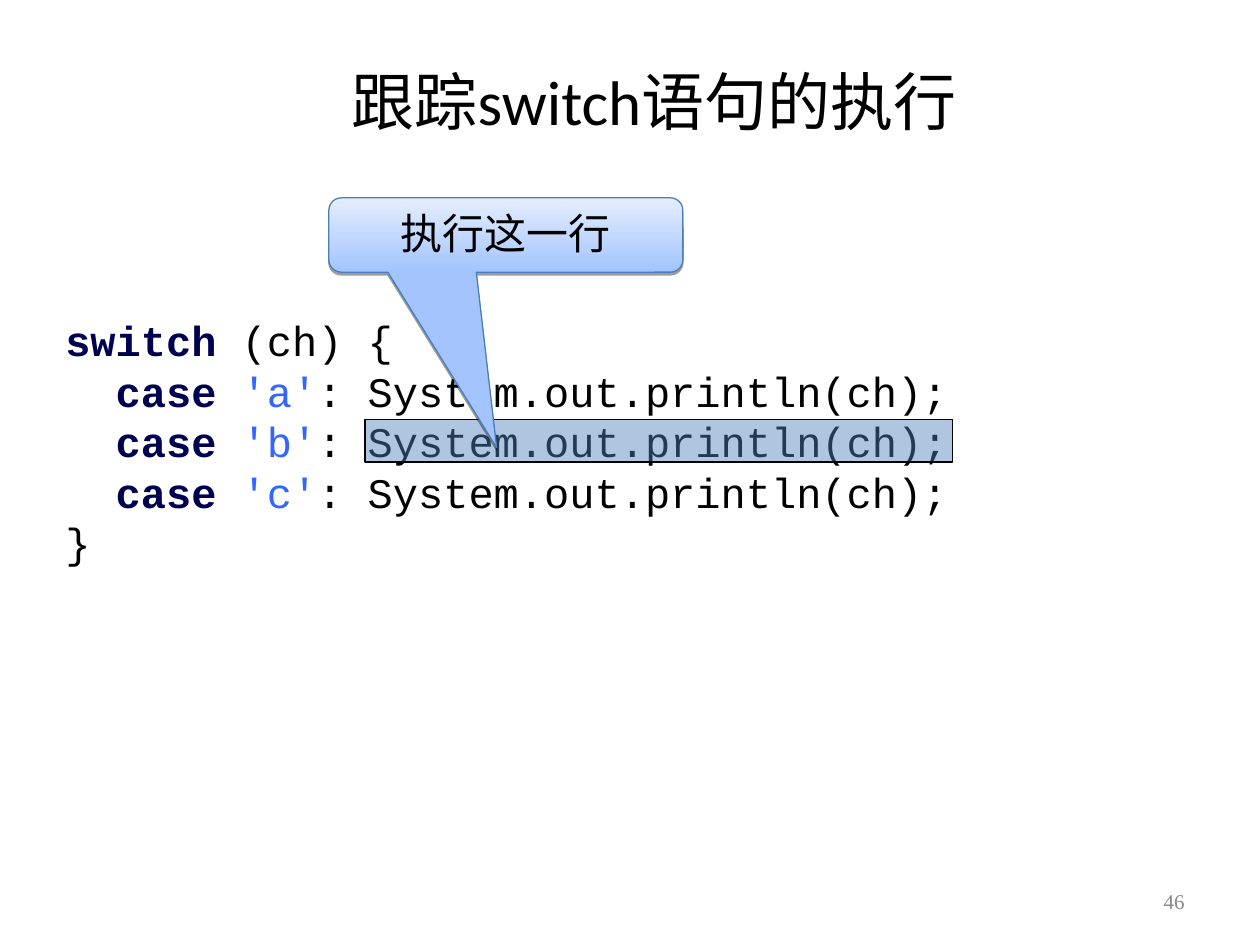
from lxml import etree
from pptx import Presentation
from pptx.dml.color import RGBColor
from pptx.enum.shapes import MSO_SHAPE
from pptx.enum.text import MSO_ANCHOR, PP_ALIGN
from pptx.oxml import parse_xml
from pptx.oxml.ns import nsdecls, qn
from pptx.util import Inches, Pt

COLORS = {
    "text": "000000", "keyword": "000050", "literal": "3366FF",
    "number": "898989", "highlight": "4F81BD", "callout_line": "4A7EBB",
    "callout_bottom": "A3C4FF", "callout_top": "E5EEFF",
}
TITLE = " 跟踪switch语句的执行"
CALLOUT = "执行这一行"
SLIDE_NUMBER = "46"
CASES = ["a", "b", "c"]
STATEMENT = ": System.out.println(ch);"
CODE = [
    (0, [("switch", "keyword"), (" (ch) {", "text")]),
    *[(0.4, [("case ", "keyword"), (f"'{case}'", "literal"), (STATEMENT, "text")])
      for case in CASES],
    (0, [("}", "text")]),
]


def rgb(name):
    return RGBColor.from_string(COLORS[name])


def place(box):
    return [Inches(length) for length in box]


def add_text(paragraph, text, *, size, font, color="text", bold=False, align=None):
    run = paragraph.add_run()
    run.text = text
    run.font.size = Pt(size)
    run.font.name = font
    run.font.bold = bold
    run.font.color.rgb = rgb(color)
    if align is not None:
        paragraph.alignment = align


def add_block(slide, box, kind, line, width):
    block = slide.shapes.add_shape(kind, *place(box))
    block.shadow.inherit = False
    block.line.color.rgb = rgb(line)
    block.line.width = Pt(width)
    return block


def add_title(slide):
    title = slide.shapes.title
    title.left, title.top, title.width, title.height = place((0.76, 0.52, 8.75, 0.55))
    title.text_frame.vertical_anchor = MSO_ANCHOR.MIDDLE
    add_text(title.text_frame.paragraphs[0], TITLE, size=36, font="Calibri",
             align=PP_ALIGN.CENTER)


def add_number(slide):
    frame = slide.shapes.add_textbox(*place((7.17, 6.95, 2.33, 0.4))).text_frame
    frame.word_wrap = True
    frame.vertical_anchor = MSO_ANCHOR.MIDDLE
    add_text(frame.paragraphs[0], SLIDE_NUMBER, size=12, font="Times New Roman",
             color="number", align=PP_ALIGN.RIGHT)


def add_code(slide):
    frame = slide.shapes.add_textbox(*place((0.42, 2.45, 7.36, 2.1))).text_frame
    frame.word_wrap = True
    for index, (indent, tokens) in enumerate(CODE):
        paragraph = frame.add_paragraph() if index else frame.paragraphs[0]
        paragraph._p.get_or_add_pPr().set("marL", str(Inches(indent)))
        for text, role in tokens:
            add_text(paragraph, text, size=24, font="Courier New", color=role,
                     bold=role == "keyword")


def add_highlight(slide):
    highlight = add_block(slide, (2.9, 3.33, 4.66, 0.34), MSO_SHAPE.RECTANGLE, "text", 1)
    highlight.fill.solid()
    highlight.fill.fore_color.rgb = rgb("highlight")
    tint = highlight._element.spPr.find(qn("a:solidFill"))[0]
    etree.SubElement(tint, qn("a:alpha")).set("val", "45000")


def add_callout(slide):
    callout = add_block(slide, (2.61, 1.57, 2.81, 0.59),
                        MSO_SHAPE.ROUNDED_RECTANGULAR_CALLOUT, "callout_line", 0.75)
    for index, value in enumerate((-0.026, 2.858, 0.167)):
        callout.adjustments[index] = value
    callout.fill.gradient()
    callout.fill.gradient_angle = 90
    for stop, role, position in zip(callout.fill.gradient_stops,
                                    ("callout_bottom", "callout_top"), (0, 1)):
        stop.color.rgb = rgb(role)
        stop.position = position
    callout._element.spPr.find(qn("a:effectLst")).append(parse_xml(
        f'<a:outerShdw {nsdecls("a")} blurRad="0" dist="{Pt(1.6)}" dir="5400000" '
        f'rotWithShape="0"><a:srgbClr val="{COLORS["text"]}"><a:alpha val="38000"/>'
        '</a:srgbClr></a:outerShdw>'))
    frame = callout.text_frame
    frame.vertical_anchor = MSO_ANCHOR.TOP
    add_text(frame.paragraphs[0], CALLOUT, size=24, font="Calibri",
             align=PP_ALIGN.CENTER)


def main():
    """Build the slide that traces a switch statement."""
    deck = Presentation()
    deck.slide_width, deck.slide_height = Inches(10), Inches(7.5)
    slide = deck.slides.add_slide(deck.slide_layouts[5])
    for add_part in (add_title, add_number, add_code, add_highlight, add_callout):
        add_part(slide)
    deck.save("out.pptx")


if __name__ == "__main__":
    main()
